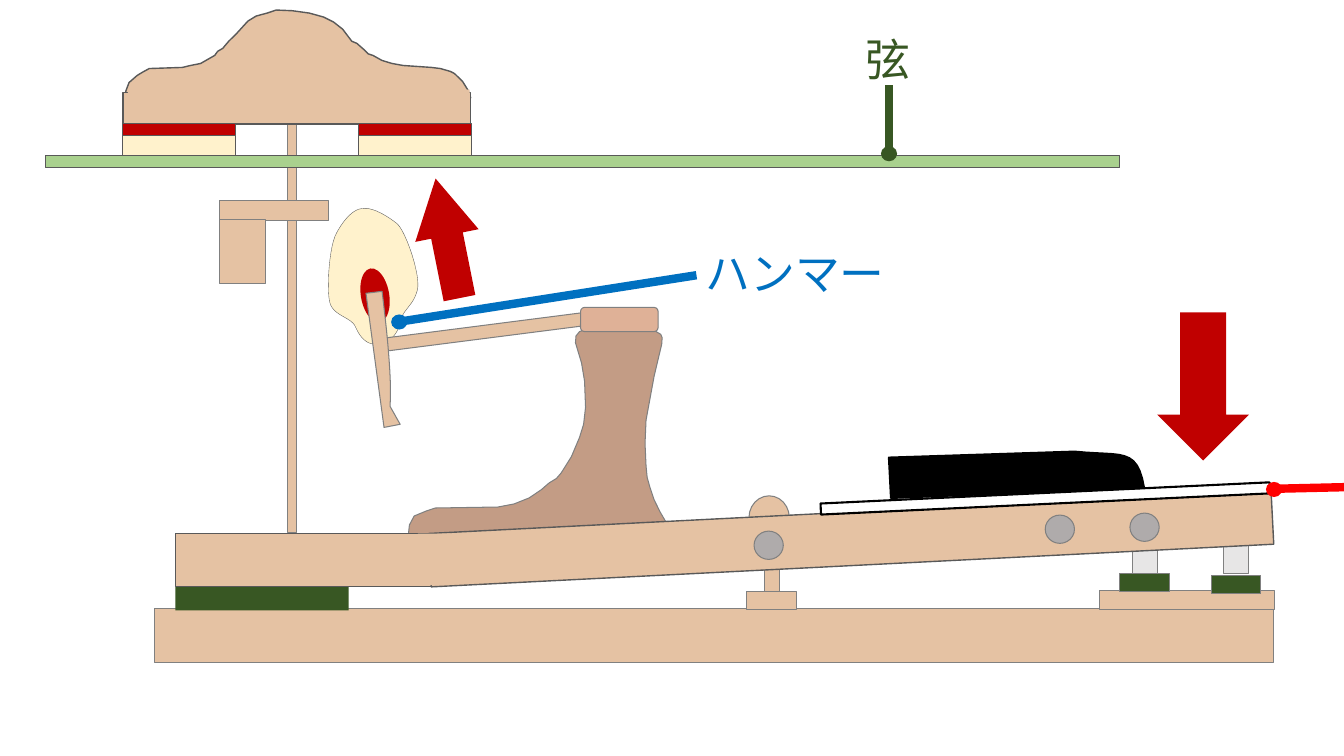
from lxml import etree
from pptx import Presentation
from pptx.dml.color import RGBColor
from pptx.enum.shapes import MSO_CONNECTOR, MSO_SHAPE
from pptx.enum.text import MSO_AUTO_SIZE
from pptx.oxml.ns import qn
from pptx.util import Pt

RECT = MSO_SHAPE.RECTANGLE
OVAL = MSO_SHAPE.OVAL
ROUND = MSO_SHAPE.ROUNDED_RECTANGLE
ARROW = MSO_SHAPE.DOWN_ARROW
STRAIGHT = MSO_CONNECTOR.STRAIGHT
FIT = MSO_AUTO_SIZE.SHAPE_TO_FIT_TEXT

FONT = "Noto Sans CJK JP"
WOOD, CREAM, RED, GREEN = "E5C2A3", "FFF2CC", "C00000", "385723"
BLUE, BRIGHT, BLACK, STEEL, PALE = "0070C0", "FF0000", "000000", "AFABAB", "E7E6E6"
THIN = ("808080", 0.75)
DARK = ("595959", 1)
FINE = ("595959", 0.75)
INK = (BLACK, 1.5)


def color(code):
    """Turn a hex string into a colour."""
    return RGBColor.from_string(code)


def trace(start, steps):
    """List the points of an outline; a step of six numbers is a Bezier curve."""
    points = [start]
    for step in steps:
        if len(step) == 2:
            points.append(step)
            continue
        a, b, c, d = points[-1], step[:2], step[2:4], step[4:]
        for n in range(1, 13):
            t = n / 12
            u = 1 - t
            points.append(tuple(
                u**3 * a[i] + 3 * u * u * t * b[i] + 3 * u * t * t * c[i] + t**3 * d[i]
                for i in (0, 1)))
    return points


class Board:
    """Hold the style and the current slide."""

    def __init__(self, slide, font):
        """Keep the slide's shapes and the font."""
        self.shapes = slide.shapes
        self.font = font

    def paint(self, shape, fill, line=None):
        """Give a shape its fill and line, without a shadow."""
        shape.shadow.inherit = False
        shape.fill.solid()
        shape.fill.fore_color.rgb = color(fill)
        if line:
            shape.line.color.rgb = color(line[0])
            shape.line.width = Pt(line[1])
        else:
            shape.line.fill.background()

    def shape(self, kind, box, fill, line=None, turn=0, adjust=()):
        """Draw a preset shape in a box of left, top, width, height."""
        shape = self.shapes.add_shape(kind, *map(Pt, box))
        shape.rotation = turn
        for i, value in enumerate(adjust):
            shape.adjustments[i] = value
        self.paint(shape, fill, line)

    def outline(self, start, steps, fill, line=None):
        """Draw a closed free outline."""
        points = [(Pt(x), Pt(y)) for x, y in trace(start, steps)]
        pen = self.shapes.build_freeform(*points[0], scale=1.0)
        pen.add_line_segments(points[1:], close=True)
        self.paint(pen.convert_to_shape(), fill, line)

    def line(self, start, end, hue, width=6):
        """Draw a straight line without a shadow."""
        link = self.shapes.add_connector(STRAIGHT, *map(Pt, start + end))
        link.line.color.rgb = color(hue)
        link.line.width = Pt(width)
        props = link._element.find(qn("p:spPr"))
        etree.SubElement(props, qn("a:effectLst"))

    def text(self, words, box, hue, size=32):
        """Write a label that does not wrap."""
        frame = self.shapes.add_textbox(*map(Pt, box)).text_frame
        frame.word_wrap = False
        frame.auto_size = FIT
        run = frame.paragraphs[0].add_run()
        run.text = words
        run.font.size = Pt(size)
        run.font.name = self.font
        run.font.color.rgb = color(hue)
        east = etree.SubElement(run._r.get_or_add_rPr(), qn("a:ea"))
        east.set("typeface", self.font)


deck = Presentation()
deck.slide_width, deck.slide_height = Pt(960), Pt(540)
board = Board(deck.slides.add_slide(deck.slide_layouts[6]), FONT)

# Hammer head
board.outline((235.4, 215.3), [
    (233.3, 203.8, 235.4, 175, 240.5, 166.3), (244.8, 158.4, 251.3, 149.8, 258.5, 149),
    (265.7, 147.6, 276.5, 154.1, 283.7, 159.8), (290.2, 165.6, 301, 198, 298.1, 207.4),
    (295.2, 218.2, 289.4, 219.6, 285.8, 229), (285.1, 239, 277.2, 244.8, 272.2, 245.5),
    (266.4, 247, 259.2, 245.5, 254.2, 234), (251.3, 226.1, 237.6, 226.1, 235.4, 215.3),
], CREAM, ("595959", 0.25))
board.shape(OVAL, (257.8, 191.5, 20.2, 38.9), RED, turn=350.1)

# Hammer support
board.outline((294.5, 394.6), [
    (291.6, 383), (292.5, 375), (295.9, 368.6), (304.6, 365), (311, 362.9), (355.7, 362.2),
    (367.2, 360), (378, 355.7), (386.6, 349.9), (392.4, 344.9), (397.5, 341.8), (401, 337.7),
    (408.2, 326.2), (414, 312.5), (416.9, 303.1), (418.3, 290.9), (417.6, 272.2),
    (415.4, 259.2), (411.1, 244.8), (411.5, 240), (414, 236.9), (421.9, 234), (462.2, 234.7),
    (468.7, 236.9), (472, 238.8), (473, 241.2), (472.7, 246), (470.9, 253.4), (467.3, 268.6),
    (464.4, 284.4), (461.5, 300.2), (460.8, 316.8), (461.5, 332.6), (462.3, 341),
    (464.4, 348.5), (467.3, 357.1), (471.6, 365.8), (476.6, 374.4), (480.2, 379.4),
    (488.9, 388.1), (473, 393.8), (446.4, 399.6), (423.4, 403.9), (364.3, 409),
    (319.7, 407.5), (298.1, 403.2), (293, 397.4),
], "C39C85", THIN)

# Key bed, rails and lever
board.shape(OVAL, (535, 354.2, 28.8, 31), WOOD, THIN)
board.shape(RECT, (545.8, 403.2, 10.8, 19.4), WOOD, THIN)
for left in (808.6, 873.7):
    board.shape(RECT, (left, 386.8, 18, 22.7), PALE, THIN)
board.shape(RECT, (110.2, 434.9, 799.2, 38.2), WOOD, THIN)
board.shape(RECT, (205.6, 85.3, 6.5, 295.2), WOOD, THIN)
board.shape(RECT, (125.3, 418.3, 123.8, 17.7), GREEN)
board.shape(RECT, (125.3, 380.9, 189.4, 38.2), WOOD, DARK)
board.shape(RECT, (306.7, 365.8, 602.6, 38.2), WOOD, DARK, turn=357.1)
board.shape(RECT, (785.5, 421.9, 124.6, 13.7), WOOD, THIN)
for left, top in ((799.9, 409.7), (865.4, 411.1)):
    board.shape(RECT, (left, top, 35.3, 13), GREEN, THIN)

# White and black keys
board.shape(RECT, (586.1, 352.1, 321.1, 7.9), "FFFFFF", INK, turn=357.3)
board.outline((635, 326.9), [
    (767.5, 322.6), (801.4, 326.2, 812.2, 319, 817.2, 348.5), (636.5, 355.7),
], BLACK, INK)
board.shape(ARROW, (826.6, 223.2, 65.5, 105.8), RED)

# Damper
board.outline((106.6, 49), [
    (130.3, 48.2), (136.1, 46.8), (143.3, 45.4), (153.4, 39.6), (155.5, 36.7), (159.1, 34.6),
    (163.4, 29.5), (169.2, 23.8), (177.1, 15.1), (183, 11.5), (190.8, 9.4), (197.3, 7.2),
    (208.8, 7.7), (221, 9.4), (231.1, 12.2), (238.3, 15.8), (244.8, 20.9), (251.3, 29.5),
    (254.9, 31), (260.6, 36), (263, 38.5), (266.4, 39.6), (272.9, 43.2), (280.1, 45.4),
    (288, 46.8), (308.2, 48.2), (314.6, 49), (321.8, 51.1), (324.7, 52.6), (330.5, 58.3),
    (334.1, 64.1), (336.2, 69.8), (324, 72.7), (283, 75.6), (260.6, 78.5), (209.5, 79.2),
    (88.6, 78.5), (87.8, 75.6), (90, 64.8), (92.2, 59), (97.9, 54), (101.5, 51.8),
], WOOD, DARK)
board.shape(RECT, (87.8, 66.2, 248.4, 22.3), WOOD, DARK)
for top, height, fill in ((88.2, 10.1, RED), (96.5, 14.4, CREAM)):
    for left in (87.8, 256.3):
        board.shape(RECT, (left, top, 80.6, height), fill, FINE)

# String and damper guide
board.shape(RECT, (32.4, 110.9, 767.5, 9), "A9D18E", DARK)
board.shape(RECT, (157, 143.3, 77.8, 14.4), WOOD, THIN)
board.shape(RECT, (157, 157, 32.4, 45.4), WOOD, THIN)

# Pins
for left, top in ((538.6, 379.4), (746.6, 367.9), (807.1, 366.5)):
    board.shape(OVAL, (left, top, 20.9, 20.2), STEEL, THIN)
board.shape(RECT, (533.5, 422.6, 35.3, 13), WOOD, THIN)

# Hammer shank
board.shape(RECT, (268.6, 232.6, 151.9, 9.4), WOOD, THIN, turn=352.7)
board.shape(ROUND, (414.7, 219.6, 55.4, 17.3), "DFB197", THIN)
board.outline((274.3, 305.3), [
    (261.4, 209.5), (272.9, 208.1), (275.8, 231.8, 280.1, 269.3, 278.6, 290.2),
    (285.8, 303.1),
], WOOD, THIN)

# Joint covers and hammer arrow
board.shape(RECT, (91.4, 64.1, 244.1, 3.6), WOOD)
board.shape(RECT, (298.4, 381.2, 23, 36.7), WOOD)
board.shape(ARROW, (296.6, 126.7, 46.1, 87.1), RED, turn=168.7, adjust=(0.5, 0.9))

# Labels and pointers
board.line((285.8, 229.7), (497.5, 196.6), BLUE)
board.line((635, 110.9), (635, 60.5), GREEN)
board.line((960, 348), (907.2, 349.2), BRIGHT)
board.text("弦", (611.3, 19.4, 46.8, 46.1), GREEN)
board.text("ハンマー", (496.8, 172.1, 144, 46.1), BLUE)
for left, top, hue in ((629.3, 104.4, GREEN), (904.3, 344.2, BRIGHT), (279.4, 224.6, BLUE)):
    board.shape(OVAL, (left, top, 11.5, 10.8), hue)

deck.save("out.pptx")
